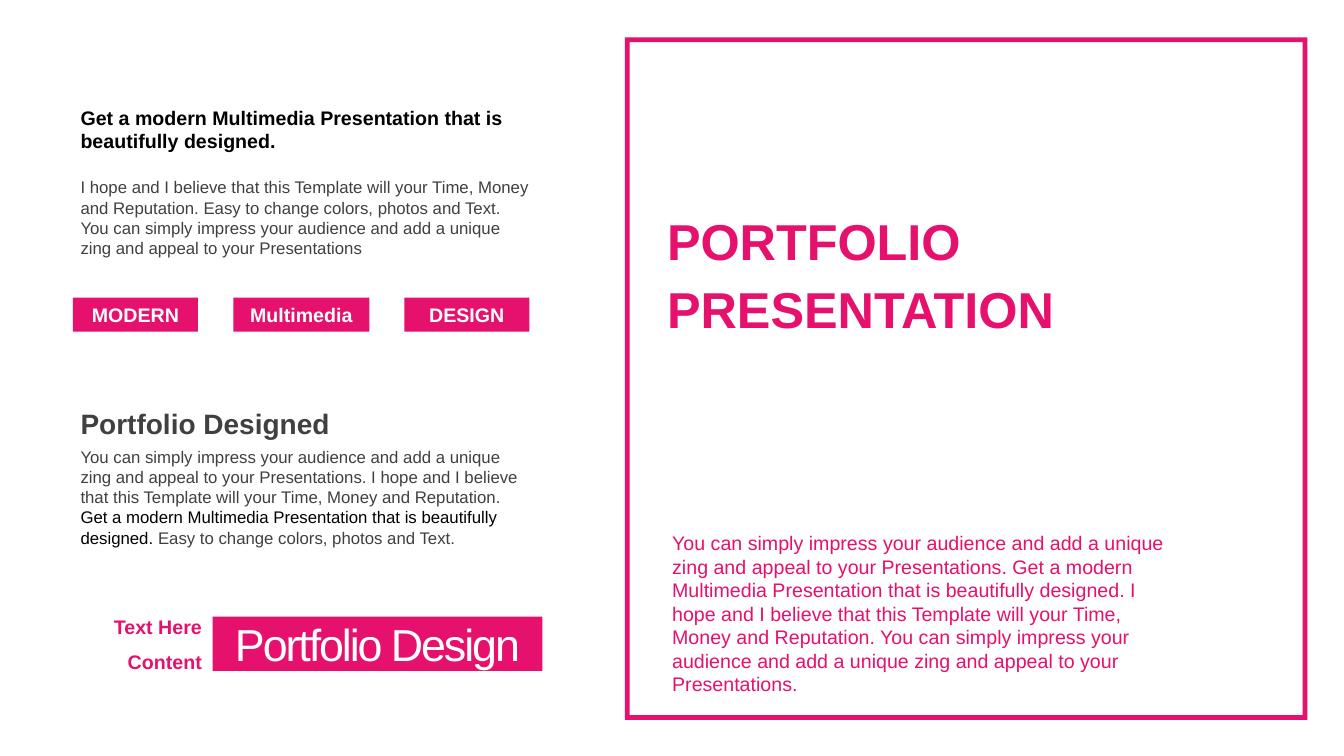
from pptx import Presentation
from pptx.dml.color import RGBColor
from pptx.enum.shapes import MSO_SHAPE
from pptx.enum.text import MSO_ANCHOR, MSO_AUTO_SIZE, PP_ALIGN
from pptx.util import Cm, Pt

FRAME, RECT = MSO_SHAPE.FRAME, MSO_SHAPE.RECTANGLE
LEFT, MID, RIGHT = PP_ALIGN.LEFT, PP_ALIGN.CENTER, PP_ALIGN.RIGHT
TOP, CENTER = MSO_ANCHOR.TOP, MSO_ANCHOR.MIDDLE
GROW = MSO_AUTO_SIZE.SHAPE_TO_FIT_TEXT

COLORS = {"pink": "E6106D", "white": "FFFFFF", "black": "000000", "gray": "404040"}


def paint(name):
    return RGBColor.from_string(COLORS[name])


def write(shape, text, size=14, color="pink", bold=False, align=LEFT,
          anchor=TOP, track=0, lines=None, pad=None):
    """Fill a shape with one paragraph; text is a string or (words, color) pairs."""
    frame = shape.text_frame
    frame.word_wrap = True
    frame.auto_size = GROW
    frame.vertical_anchor = anchor
    if pad is not None:
        frame.margin_left = frame.margin_right = Cm(pad)
        frame.margin_top = frame.margin_bottom = 0
    para = frame.paragraphs[0]
    para.alignment = align
    if lines:
        para.line_spacing = lines
    for words, tint in [(text, color)] if isinstance(text, str) else text:
        run = para.add_run()
        run.text = words
        font = run.font
        font.name, font.size, font.bold = "Arial", Pt(size), bold
        font.color.rgb = paint(tint)
        if track:
            run._r.get_or_add_rPr().set("spc", str(int(track * 100)))


class Page:
    """The current slide and its accent color."""

    def __init__(self, slide, accent):
        self.slide, self.accent = slide, accent

    def shape(self, kind, *box):
        item = self.slide.shapes.add_shape(kind, *map(Cm, box))
        item.shadow.inherit = False
        item.fill.solid()
        item.fill.fore_color.rgb = paint(self.accent)
        item.line.fill.background()
        return item

    def label(self, text, *box, **style):
        write(self.shape(RECT, *box), text, color="white", align=MID, **style)

    def text(self, text, *box, **style):
        write(self.slide.shapes.add_textbox(*map(Cm, box)), text, **style)


def main():
    deck = Presentation()
    deck.slide_width, deck.slide_height = Cm(33.87), Cm(19.05)
    page = Page(deck.slides.add_slide(deck.slide_layouts[6]), "pink")

    hope = ("I hope and I believe that this Template will your Time, "
            "Money and Reputation.")
    modern = "Get a modern Multimedia Presentation that is beautifully designed."
    easy = "Easy to change colors, photos and Text."
    simply = ("You can simply impress your audience and add a unique zing "
              "and appeal to your Presentations")

    # Framed cover
    page.shape(FRAME, 15.75, 0.94, 17.2, 17.2).adjustments[0] = 0.007
    for row, word in enumerate(("PORTFOLIO", "PRESENTATION")):
        page.text(word, 16.56, 5.16 + 1.72 * row, 10.39, 1.8, size=36, bold=True)
    page.text(f"{simply}. {modern} {hope} {simply}.", 16.69, 13.26, 13.26, 4.45)

    # Introduction and tags
    edge, wide = 1.78, 11.86
    page.text(modern, edge, 2.54, 12.12, 1.45, color="black", bold=True)
    page.text(f"{hope} {easy} {simply}", edge, 4.34, wide, 2.31,
              size=12, color="gray")
    for word, left, width in (("MODERN", 1.84, 3.15), ("Multimedia", 5.88, 3.43),
                              ("DESIGN", 10.19, 3.15)):
        page.label(word, left, 7.5, width, 0.86, bold=True)

    # Portfolio section
    page.text("Portfolio Designed", edge, 10.13, wide, 0.99, size=20,
              color="gray", bold=True, anchor=CENTER, lines=1.1)
    page.text([(f"{simply}. {hope} ", "gray"), (modern, "black"),
               (f" {easy}", "gray")], edge, 11.13, wide, 2.82, size=12)

    # Closing banner
    page.label("Portfolio Design", 5.36, 15.54, 8.31, 1.37, size=32,
               anchor=CENTER, track=-1.5, pad=0.1)
    for row, word in enumerate(("Text Here", "Content")):
        page.text(word, edge, 15.37 + 0.89 * row, 3.56, 0.86, bold=True, align=RIGHT)

    deck.save("out.pptx")


if __name__ == "__main__":
    main()
